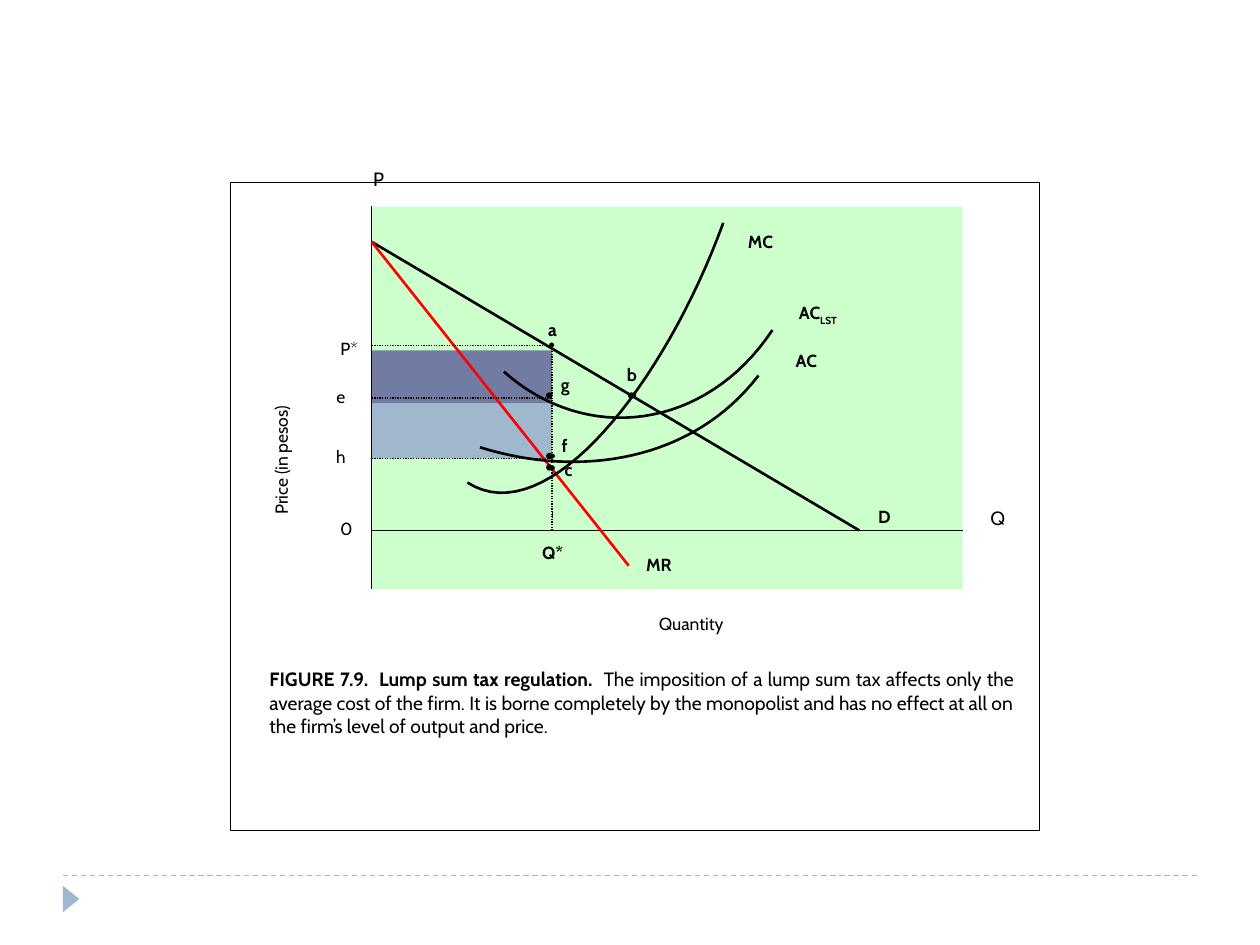
from lxml import etree
from pptx import Presentation
from pptx.dml.color import RGBColor
from pptx.enum.dml import MSO_LINE
from pptx.enum.shapes import MSO_CONNECTOR, MSO_SHAPE
from pptx.enum.text import MSO_ANCHOR, MSO_AUTO_SIZE, PP_ALIGN
from pptx.oxml.ns import qn
from pptx.util import Pt

STRAIGHT = MSO_CONNECTOR.STRAIGHT
RECT, OVAL, TRIANGLE = MSO_SHAPE.RECTANGLE, MSO_SHAPE.OVAL, MSO_SHAPE.ISOSCELES_TRIANGLE
DASH, DOT = MSO_LINE.DASH, MSO_LINE.ROUND_DOT
LEFT, CENTER, RIGHT, JUSTIFY = PP_ALIGN.LEFT, PP_ALIGN.CENTER, PP_ALIGN.RIGHT, PP_ALIGN.JUSTIFY
TOP, MIDDLE = MSO_ANCHOR.TOP, MSO_ANCHOR.MIDDLE
GROW = MSO_AUTO_SIZE.SHAPE_TO_FIT_TEXT

COLORS = {"ink": "000000", "plot": "CCFFCC", "profit": "727CA3", "tax": "9FB8CD", "revenue": "FF0000"}
MARGINS = ("margin_left", "margin_top", "margin_right", "margin_bottom")
HAIRLINE = 0.25


class Diagram:
    """Draws the parts of an economics diagram on one slide."""

    def __init__(self, slide):
        self.shapes = slide.shapes
        self.font = "Cabin"

    def color(self, name):
        return RGBColor.from_string(COLORS[name])

    def outline(self, line, color, width):
        line.color.rgb = self.color(color)
        line.width = Pt(width)

    def shape(self, kind, x, y, w, h, fill=None, line=None, rotation=0):
        shape = self.shapes.add_shape(kind, Pt(x), Pt(y), Pt(w), Pt(h))
        shape.shadow.inherit = False
        shape.rotation = rotation
        if fill:
            shape.fill.solid()
            shape.fill.fore_color.rgb = self.color(fill)
        else:
            shape.fill.background()
        if line:
            self.outline(shape.line, line, 0.75)
        else:
            shape.line.fill.background()
        return shape

    def line(self, x1, y1, x2, y2, color="ink", width=0.75, dash=None):
        line = self.shapes.add_connector(STRAIGHT, Pt(x1), Pt(y1), Pt(x2), Pt(y2))
        self.outline(line.line, color, width)
        if dash:
            line.line.dash_style = dash
        etree.SubElement(line._element.spPr, qn("a:effectLst"))
        return line

    def curve(self, *controls, steps=32):
        points = []
        for step in range(steps + 1):
            t = step / steps
            weights = ((1 - t) ** 3, 3 * t * (1 - t) ** 2, 3 * t * t * (1 - t), t ** 3)
            points.append([Pt(sum(w * c for w, c in zip(weights, axis))) for axis in zip(*controls)])
        builder = self.shapes.build_freeform(*points[0])
        builder.add_line_segments(points[1:], close=False)
        curve = builder.convert_to_shape()
        curve.shadow.inherit = False
        curve.fill.background()
        self.outline(curve.line, "ink", 1.5)

    def text(self, x, y, w, h, runs, align=CENTER, size=10, font=None, wrap=True,
             inset=True, anchor=TOP, rotation=0):
        box = self.shapes.add_textbox(Pt(x), Pt(y), Pt(w), Pt(h))
        box.rotation = rotation
        frame = box.text_frame
        layout = {"word_wrap": wrap, "auto_size": GROW, "vertical_anchor": anchor}
        if not inset:
            layout.update(dict.fromkeys(MARGINS, Pt(0)))
        for name, value in layout.items():
            setattr(frame, name, value)
        paragraph = frame.paragraphs[0]
        paragraph.alignment = align
        for words, bold, baseline in runs:
            run = paragraph.add_run()
            run.text = words
            for name, value in {"name": font or self.font, "size": Pt(size), "bold": bold}.items():
                setattr(run.font, name, value)
            run.font.color.rgb = self.color("ink")
            if baseline:
                run._r.get_or_add_rPr().set("baseline", str(baseline * 1000))

    def label(self, x, y, w, words, bold=False, sub=None, h=12.2, **style):
        runs = [(words, bold, 0)] + ([(sub, bold, -25)] if sub else [])
        self.text(x, y, w, h, runs, inset=False, **style)

    def bullet(self, x, y, w):
        self.text(x, y, w, 21.6, [("•", False, 0)], size=12, font="Times New Roman", anchor=MIDDLE)


def main():
    deck = Presentation()
    deck.slide_width, deck.slide_height = Pt(720), Pt(540)
    diagram = Diagram(deck.slides.add_slide(deck.slide_layouts[6]))

    axis_x, axis_y, output = 212.4, 303.1, 315.4
    price, taxed_cost, cost = 197.3, 227.4, 262
    plot_top, plot_right, plot_height = 118, 550.1, 218.8
    demand_top = 138.2
    profit_width = output - axis_x

    diagram.line(36, 500.4, 684, 500.4, "tax", dash=DASH)
    diagram.shape(TRIANGLE, 33.1, 509, 15.1, 9.4, "tax", rotation=90)
    plot = diagram.shape(RECT, axis_x, plot_top, plot_right - axis_x, plot_height, "plot")
    diagram.shape(RECT, axis_x, taxed_cost, profit_width, cost - taxed_cost, "tax")
    diagram.shape(RECT, axis_x, 200.2, profit_width, 30.2, "profit")
    diagram.shape(RECT, 131.8, 104.4, 462.2, 370, line="ink")

    diagram.line(axis_x, plot_top, axis_x, plot_top + plot_height, width=HAIRLINE)
    diagram.line(axis_x, axis_y, plot_right, axis_y, width=HAIRLINE)
    diagram.line(axis_x, demand_top, 491, axis_y, width=1.5)
    diagram.line(axis_x, demand_top, 359.3, 323.3, "revenue", 1.5)
    diagram.line(output, axis_y, output, 200.2, dash=DOT)
    for level in (price, taxed_cost, cost):
        guide = diagram.line(axis_x, level, output, level, dash=DOT)
        if level == taxed_cost:
            guide.begin_connect(plot, 1)
    diagram.line(output, 295.9, output, 292.3, width=HAIRLINE)

    for controls in (
        ((413.3, 127.4), (380.2, 218.2), (313.2, 305.3), (267.1, 275.8)),
        ((441.4, 188.6), (403.2, 246.2), (334.8, 254.2), (288, 212.4)),
        ((433.4, 214.6), (396, 263.5), (331.2, 273.6), (274.3, 255.6)),
    ):
        diagram.curve(*controls)

    for x, y in ((312.5, 259.2), (312.5, 224.6), (359.3, 224.6), (312.5, 265.7)):
        diagram.shape(OVAL, x, y, 2.9, 2.9, "ink", "ink")

    for x, y, w, words, sub in (
        (427, 131.8, 15.1, "MC", None),
        (453.6, 172.8, 27.4, "AC", "LST"),
        (453.6, 200.2, 14.4, "AC", None),
        (501.8, 289.4, 7.2, "D", None),
        (368.6, 316.8, 15.8, "MR", None),
    ):
        diagram.label(x, y, w, words, True, sub, wrap=False)

    for x, y, w, words, align in (
        (308.2, 213.8, 29.5, "g", CENTER),
        (313.2, 182.2, 15.8, "a", LEFT),
        (346.3, 208.1, 29.5, "b", CENTER),
        (301, 309.6, 29.5, "Q*", CENTER),
        (315.4, 248.4, 14.4, "f", CENTER),
        (322.6, 262.1, 14.4, "c", LEFT),
    ):
        diagram.label(x, y, w, words, True, align=align)

    for x, y, w, words, align in (
        (190.8, 295.9, 14.4, "0", CENTER),
        (183.6, 220.3, 22.3, "e", CENTER),
        (190.1, 193, 14.4, "P*", RIGHT),
        (183.6, 254.9, 22.3, "h", CENTER),
    ):
        diagram.label(x, y, w, words, align=align)

    diagram.label(565.9, 289.4, 7.9, "Q", h=13, size=11, wrap=False)
    diagram.label(190.8, 95.8, 51.1, "P", h=13, size=11)
    diagram.label(374, 350.6, 42, "Quantity", wrap=False)
    diagram.label(126, 257, 69.1, "Price (in pesos)", wrap=False, rotation=270)

    for x, y, w in ((303.1, 185.8, 24.5), (349.9, 214.6, 24.5), (301, 256.3, 29.5), (301, 249.1, 29.5)):
        diagram.bullet(x, y, w)

    diagram.text(146.9, 378, 439.9, 46.8, [
        ("FIGURE 7.9.  Lump sum tax regulation.", True, 0),
        ("  The imposition of a lump sum tax affects only the average cost of the firm. It is borne "
         "completely by the monopolist and has no effect at all on the firm’s level of output and price.",
         False, 0),
    ], align=JUSTIFY, size=11)

    deck.save("out.pptx")


if __name__ == "__main__":
    main()
